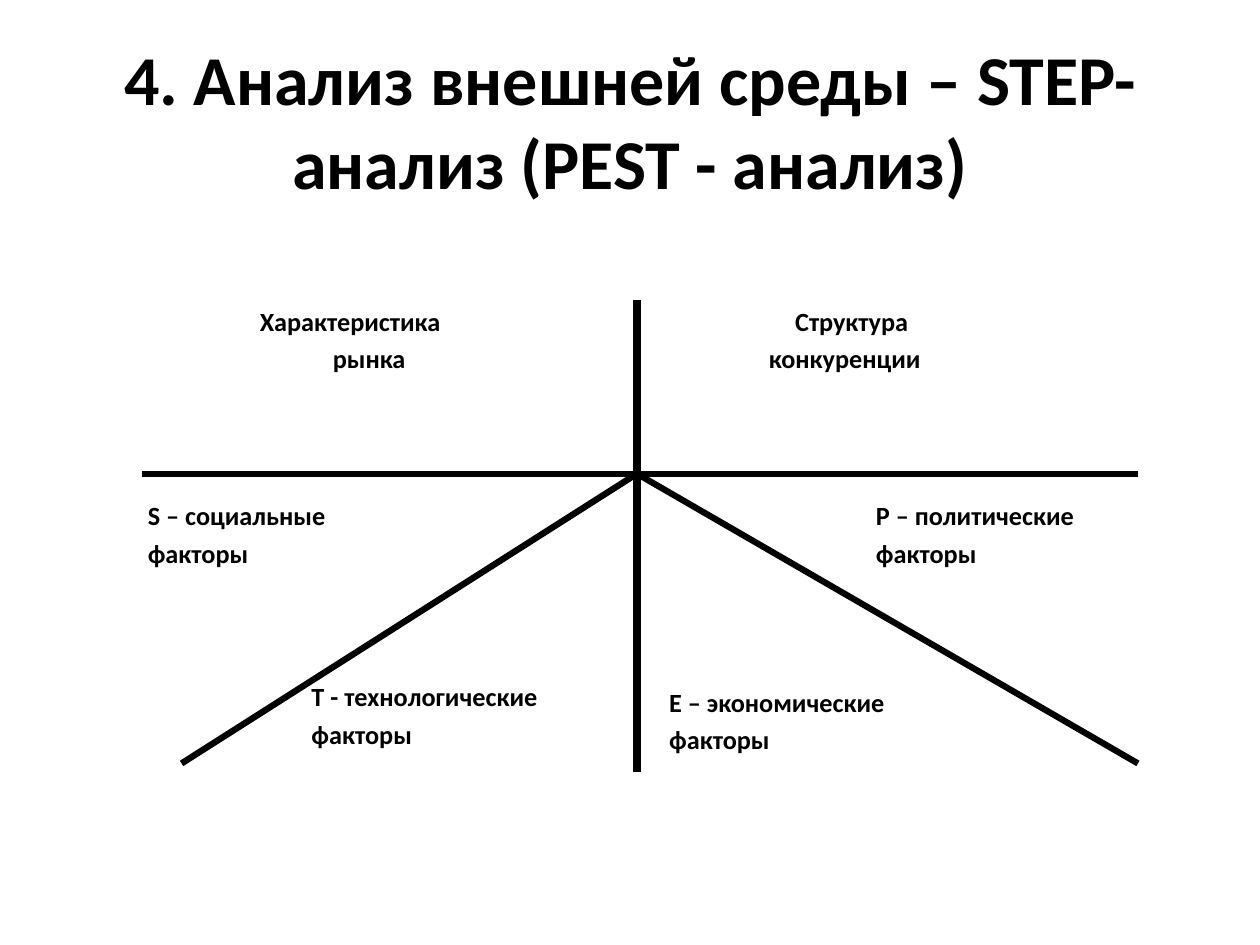
"""Build the STEP (PEST) analysis slide."""
from dataclasses import dataclass

from lxml import etree
from pptx import Presentation
from pptx import util as u
from pptx.dml.color import RGBColor
from pptx.enum import shapes, text
from pptx.oxml.ns import qn

BLACK, WHITE = "000000", "FFFFFF"
CENTRE = (12.84, 9.55)


@dataclass
class Line:
    start: tuple[float, float]
    end: tuple[float, float]
    width: float


@dataclass
class Label:
    text: str
    box: tuple[float, float, float, float]
    margin: float = 0.03
    indent: float = 0
    spacing: float = 1.18
    panel: tuple[float, float, float, float] | None = None


LINES = [
    Line((2.87, CENTRE[1]), (22.94, CENTRE[1]), 3.34),
    Line((CENTRE[0], 6.05), (CENTRE[0], 15.57), 4.31),
    Line(CENTRE, (3.66, 15.39), 3.63),
    Line(CENTRE, (22.94, 15.39), 3.57),
]
LABELS = [
    Label("Характеристика рынка", (5.21, 6.05, 4.98, 1.47), 1.5, -1.47, 1.17),
    Label("Структура конкуренции", (15.47, 6.05, 4.19, 1.47), 0.03, 0.53, 1.17),
    Label("S – социальные факторы", (2.95, 9.96, 4.88, 1.5)),
    Label("T - технологические факторы", (6.25, 13.61, 6.2, 1.5)),
    Label("E – экономические факторы", (13.46, 13.72, 5.92, 1.5),
          panel=(13.13, 13.74, 6.71, 1.83)),
    Label("P – политические факторы", (17.63, 9.96, 5.44, 1.5),
          panel=(17.27, 9.96, 6.58, 1.87)),
]


def rgb(value: str) -> RGBColor:
    """Turn a hex string into a colour."""
    return RGBColor.from_string(value)


def cm(values: tuple[float, ...]) -> list[u.Cm]:
    """Turn numbers into lengths."""
    return [u.Cm(v) for v in values]


def format_text(tf, size: float) -> None:
    """Wrap the text and set its bold black font."""
    tf.word_wrap = True
    tf.auto_size = text.MSO_AUTO_SIZE.NONE
    tf.margin_left = tf.margin_right = tf.margin_top = tf.margin_bottom = 0
    for p in tf.paragraphs:
        for r in p.runs:
            r.font.name = "Calibri"
            r.font.size = u.Pt(size)
            r.font.bold = True
            r.font.color.rgb = rgb(BLACK)


def draw_title(s) -> None:
    """Place and format the title placeholder."""
    sp = s.shapes.title
    sp.left, sp.top, sp.width, sp.height = cm((1.27, 0.58, 22.86, 3.53))
    tf = sp.text_frame
    tf.text = "4. Анализ внешней среды – STEP-\vанализ (PEST - анализ)"
    format_text(tf, 40)
    tf.margin_top = u.Cm(0.13)
    tf.vertical_anchor = text.MSO_ANCHOR.MIDDLE
    tf.paragraphs[0].alignment = text.PP_ALIGN.CENTER


def draw_line(s, line: Line) -> None:
    """Draw one straight divider."""
    sp = s.shapes.add_connector(
        shapes.MSO_CONNECTOR.STRAIGHT, *cm(line.start + line.end))
    sp.line.color.rgb = rgb(BLACK)
    sp.line.width = u.Pt(line.width)
    etree.SubElement(sp._element.spPr, qn("a:effectLst"))


def draw_panel(s, box: tuple[float, float, float, float]) -> None:
    """Draw a plain white panel behind a label."""
    sp = s.shapes.add_shape(shapes.MSO_SHAPE.RECTANGLE, *cm(box))
    sp.shadow.inherit = False
    sp.fill.solid()
    sp.fill.fore_color.rgb = rgb(WHITE)
    sp.line.fill.background()


def draw_label(s, label: Label) -> None:
    """Draw one label with its indents and optional panel."""
    if label.panel:
        draw_panel(s, label.panel)
    tf = s.shapes.add_textbox(*cm(label.box)).text_frame
    tf.text = label.text
    format_text(tf, 15)
    p = tf.paragraphs[0]
    p.line_spacing = label.spacing
    pPr = p._p.get_or_add_pPr()
    pPr.set("marL", str(u.Cm(label.margin)))
    pPr.set("indent", str(u.Cm(label.indent)))


def main() -> None:
    """Build and save the presentation."""
    prs = Presentation()
    prs.slide_width, prs.slide_height = cm((25.4, 19.05))
    s = prs.slides.add_slide(prs.slide_layouts[5])
    draw_title(s)
    for line in LINES:
        draw_line(s, line)
    for label in LABELS:
        draw_label(s, label)
    prs.save("out.pptx")


if __name__ == "__main__":
    main()
